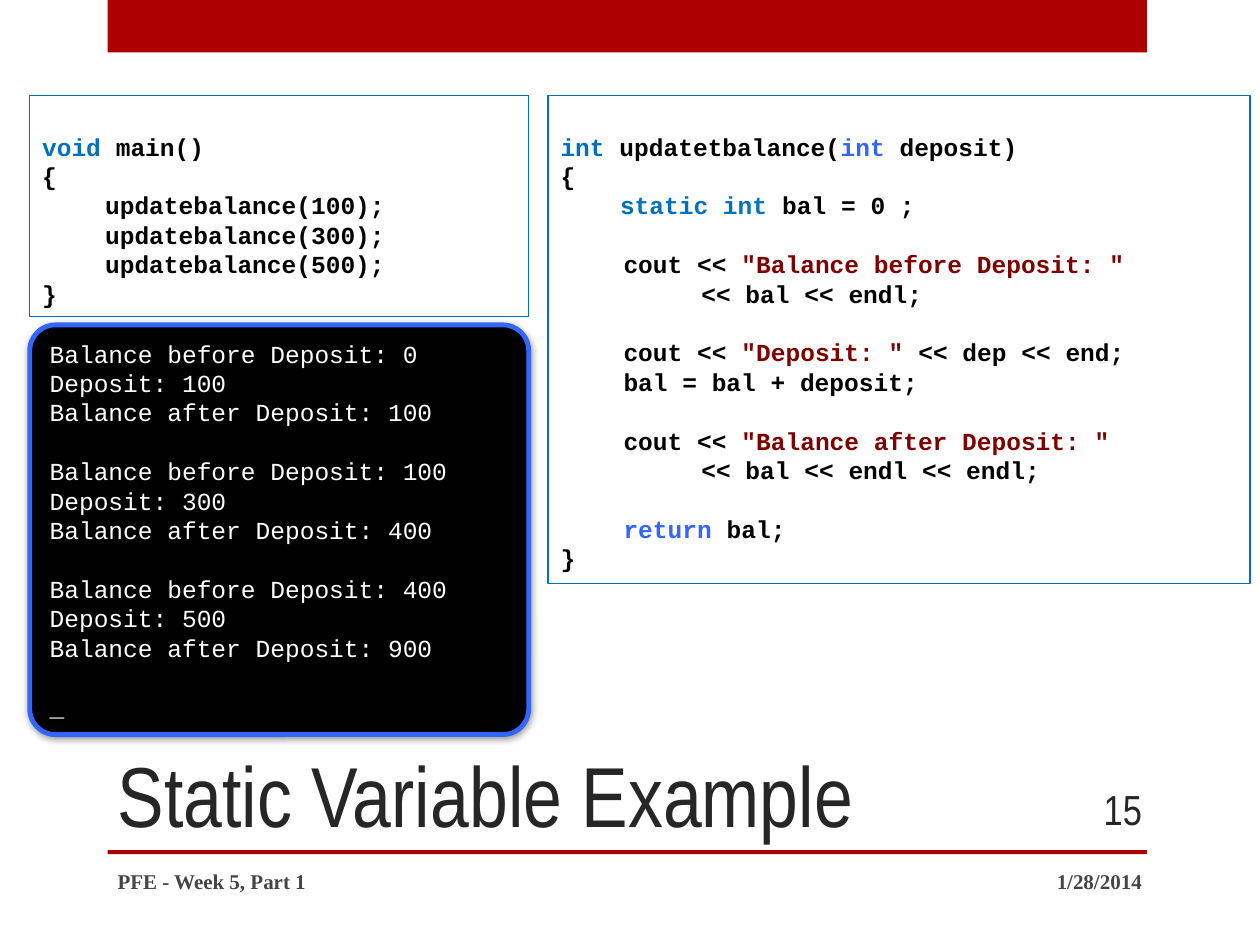
from lxml import etree
from pptx import Presentation
from pptx.dml.color import RGBColor as RGB
from pptx.enum.shapes import MSO_SHAPE as Kind
from pptx.enum.text import MSO_ANCHOR as Anchor, MSO_AUTO_SIZE as Fit, PP_ALIGN as Align
from pptx.oxml import parse_xml
from pptx.util import Cm, Pt

RED = RGB(0xAD, 0x01, 0x01)
BLUE = RGB(0x00, 0x70, 0xC0)
SKY = RGB(0x33, 0x66, 0xFF)
WINE = RGB(0x80, 0x00, 0x00)
BLACK = RGB(0, 0, 0)
WHITE = RGB(255, 255, 255)
DARK = RGB(0x26, 0x26, 0x26)
GREY = RGB(0x45, 0x45, 0x45)
PITCH = 16.8  # points from one code line to the next
TAB, CHAR = 1.27, 0.3  # cm
DEEP = 2 * TAB + CHAR

prs = Presentation()
prs.slide_width, prs.slide_height = Cm(25.4), Cm(19.05)
slide = prs.slides.add_slide(prs.slide_layouts[5])


def style(run, font, size, color, bold=False):
    run.font.name, run.font.size = font, Pt(size)
    run.font.color.rgb, run.font.bold = color, bold


def code(shape, lines, bold):
    """Fill a shape with lines of (indent in cm, blank lines above, runs)."""
    frame = shape.text_frame
    frame.word_wrap = True
    frame.vertical_anchor = Anchor.TOP
    for i, (indent, gap, parts) in enumerate(lines):
        para = frame.add_paragraph() if i else frame.paragraphs[0]
        para.alignment = Align.LEFT
        para.line_spacing = Pt(PITCH)
        para.space_before = Pt(gap * PITCH)
        para._p.get_or_add_pPr().set("marL", str(Cm(indent)))
        for text, color in parts:
            run = para.add_run()
            run.text = text
            style(run, "Courier New", 14, color, bold)


# Red bar and rule
for top, high in ((0, 1.06), (17.14, 0.08)):
    bar = slide.shapes.add_shape(Kind.RECTANGLE, Cm(2.17), Cm(top), Cm(20.95), Cm(high))
    bar.shadow.inherit = False
    bar.fill.solid()
    bar.fill.fore_color.rgb = RED
    bar.line.fill.background()

# Title
title = slide.shapes.title
title.left, title.top, title.width, title.height = Cm(2.12), Cm(12.7), Cm(18.84), Cm(4.45)
frame = title.text_frame
frame.text = "Static Variable Example"
frame.auto_size = Fit.NONE
frame.vertical_anchor = Anchor.BOTTOM
frame.paragraphs[0].alignment = Align.LEFT
style(frame.paragraphs[0].runs[0], "Arial Narrow", 48.6, DARK)

# Date, footer and slide number
serif = ("Times New Roman", 12, GREY, True)
for text, left, top, width, align, look in (
    ("1/28/2014", 17.35, 17.25, 5.92, Align.RIGHT, serif),
    ("PFE - Week 5, Part 1", 2.12, 17.25, 13.54, Align.LEFT, serif),
    ("15", 21.16, 15.8, 2.11, Align.RIGHT, ("Arial Narrow", 24, DARK)),
):
    frame = slide.shapes.add_textbox(Cm(left), Cm(top), Cm(width), Cm(1.02)).text_frame
    frame.word_wrap = True
    frame.vertical_anchor = Anchor.MIDDLE
    frame.text = text
    frame.paragraphs[0].alignment = align
    style(frame.paragraphs[0].runs[0], *look)

# Code boxes
update = [
    (0, 0, [("int ", BLUE), ("updatetbalance(", BLACK), ("int", SKY), (" deposit)", BLACK)]),
    (0, 0, [("{", BLACK)]),
    (4 * CHAR, 0, [("static int ", BLUE), ("bal = 0 ;", BLACK)]),
    (TAB, 1, [("cout << ", BLACK), ('"Balance before Deposit: "', WINE)]),
    (DEEP, 0, [("<< bal << endl;", BLACK)]),
    (TAB, 1, [("cout << ", BLACK), ('"Deposit: "', WINE), (" << dep << end;", BLACK)]),
    (TAB, 0, [("bal = bal + deposit;", BLACK)]),
    (TAB, 1, [("cout << ", BLACK), ('"Balance after Deposit: "', WINE)]),
    (DEEP, 0, [("<< bal << endl << endl;", BLACK)]),
    (TAB, 1, [("return ", SKY), ("bal;", BLACK)]),
    (0, 0, [("}", BLACK)]),
]
calls = [(TAB, 0, [(f"updatebalance({n});", BLACK)]) for n in (100, 300, 500)]
main = [(0, 0, [("void ", BLUE), ("main()", BLACK)]), (0, 0, [("{", BLACK)]),
        *calls, (0, 0, [("}", BLACK)])]

for left, width, high, lines in ((11.05, 14.15, 9.83, update), (0.6, 10.06, 4.45, main)):
    box = slide.shapes.add_shape(Kind.RECTANGLE, Cm(left), Cm(1.93), Cm(width), Cm(high))
    box.shadow.inherit = False
    box.fill.background()
    box.line.color.rgb, box.line.width = BLUE, Pt(0.75)
    box.text_frame.margin_top = Cm(0.13) + Pt(PITCH)
    code(box, lines, True)

# Console output
out = []
total = 0
for dep in (100, 300, 500):
    out += [(0, 1 if out else 0, [(f"Balance before Deposit: {total}", WHITE)]),
            (0, 0, [(f"Deposit: {dep}", WHITE)])]
    total += dep
    out.append((0, 0, [(f"Balance after Deposit: {total}", WHITE)]))
out.append((0, 1, [("_", WHITE)]))

screen = slide.shapes.add_shape(Kind.ROUNDED_RECTANGLE, Cm(0.6), Cm(6.55), Cm(10.06), Cm(8.26))
screen.adjustments[0] = 0.063
screen.fill.solid()
screen.fill.fore_color.rgb = BLACK
screen.line.color.rgb, screen.line.width = SKY, Pt(2.75)
screen.shadow.inherit = False
glow = parse_xml(
    '<a:outerShdw xmlns:a="http://schemas.openxmlformats.org/drawingml/2006/main"'
    f' blurRad="{Pt(4)}" dist="{Pt(1)}" dir="{88 * 60000}" rotWithShape="0">'
    '<a:srgbClr val="000000"><a:alpha val="40000"/></a:srgbClr></a:outerShdw>')
screen._element.spPr.find("{*}effectLst").append(glow)
code(screen, out, False)

prs.save("out.pptx")
